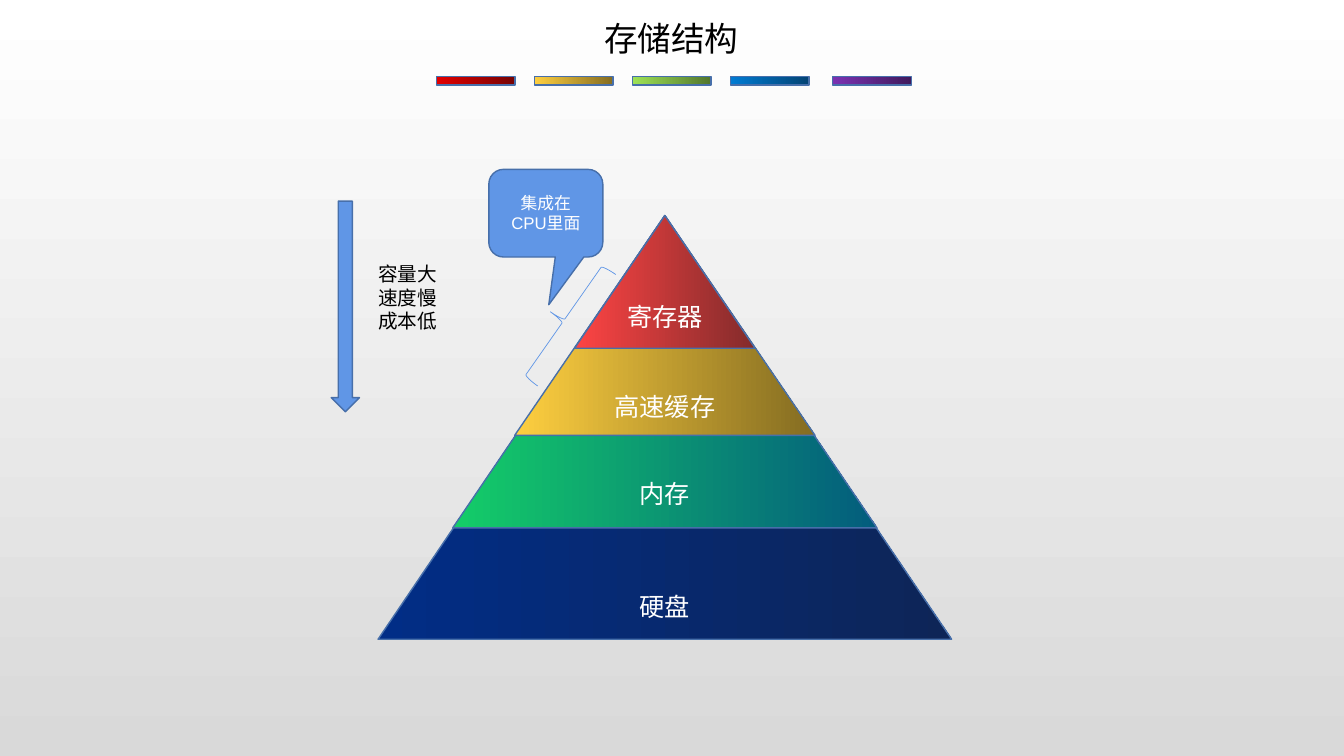
from pptx import Presentation
from pptx.dml.color import RGBColor
from pptx.enum.lang import MSO_LANGUAGE_ID
from pptx.enum.shapes import MSO_SHAPE
from pptx.enum.text import MSO_ANCHOR, MSO_AUTO_SIZE, PP_ALIGN
from pptx.util import Pt

CHINESE = MSO_LANGUAGE_ID.SIMPLIFIED_CHINESE
RECT, TRIANGLE = MSO_SHAPE.RECTANGLE, MSO_SHAPE.ISOSCELES_TRIANGLE
ARROW, BRACE = MSO_SHAPE.RIGHT_ARROW, MSO_SHAPE.LEFT_BRACE
CALLOUT = MSO_SHAPE.ROUNDED_RECTANGULAR_CALLOUT
TOP, MIDDLE = MSO_ANCHOR.TOP, MSO_ANCHOR.MIDDLE
LEFT, CENTER = PP_ALIGN.LEFT, PP_ALIGN.CENTER
NO_AUTOFIT = MSO_AUTO_SIZE.NONE

# A pair of colours is a gradient from left to right
COLORS = {
    "background": ("FFFFFF", "D9D9D9"),
    "red": ("E30000", "760303"),
    "gold": ("FECF40", "846C21"),
    "green": ("9EE256", "52762D"),
    "blue": ("007BD3", "034373"),
    "purple": ("7B32B2", "401A5D"),
    "disk": ("012D86", "0E2557"),
    "memory": ("14CD68", "035C7D"),
    "register": ("FE4444", "832B2B"),
    "accent": "6096E6",
    "outline": "476FAA",
    "text": "000000",
    "light": "FFFFFF",
}


class StorageSlide:
    font = "Arial"

    def __init__(self, prs):
        self.slide = prs.slides.add_slide(prs.slide_layouts[5])

    def paint(self, fill, color, angle=0):
        value = COLORS[color]
        if isinstance(value, str):
            fill.solid()
            fill.fore_color.rgb = RGBColor.from_string(value)
            return
        fill.gradient()
        fill.gradient_angle = angle
        for stop, hex_color in zip(fill.gradient_stops, value):
            stop.color.rgb = RGBColor.from_string(hex_color)

    def background(self, color):
        self.paint(self.slide.background.fill, color, 270)

    def set_text(self, shape, text, size, color, align=CENTER, anchor=TOP, wrap=True):
        frame = shape.text_frame
        frame.text = text
        frame.auto_size = NO_AUTOFIT
        frame.word_wrap = wrap
        frame.vertical_anchor = anchor
        for paragraph in frame.paragraphs:
            paragraph.alignment = align
            for run in paragraph.runs:
                run.font.name = self.font
                run.font.size = Pt(size)
                run.font.language_id = CHINESE
                run.font.color.rgb = RGBColor.from_string(COLORS[color])

    def title(self, text, left, top, width, height):
        title = self.slide.shapes.title
        title.left, title.top = Pt(left), Pt(top)
        title.width, title.height = Pt(width), Pt(height)
        self.set_text(title, text, 24, "text", wrap=False)

    def label(self, text, left, top, width, height, size, color, align=CENTER):
        box = self.slide.shapes.add_textbox(Pt(left), Pt(top), Pt(width), Pt(height))
        self.set_text(box, text, size, color, align)

    def shape(self, kind, left, top, width, height, fill=None,
              line="outline", weight=1, rotation=0):
        shape = self.slide.shapes.add_shape(kind, Pt(left), Pt(top), Pt(width), Pt(height))
        shape.shadow.inherit = False
        shape.rotation = rotation
        if fill:
            self.paint(shape.fill, fill)
        else:
            shape.fill.background()
        shape.line.color.rgb = RGBColor.from_string(COLORS[line])
        shape.line.width = Pt(weight)
        return shape


def main():
    prs = Presentation()
    prs.slide_width, prs.slide_height = Pt(960), Pt(540)
    page = StorageSlide(prs)
    page.background("background")

    # Title and the colour bars under it
    page.title("存储结构", 424, 9.4, 111, 36)
    bars = [("red", 311.8), ("gold", 381.8), ("green", 451.8),
            ("blue", 521.8), ("purple", 594.7)]
    for color, left in bars:
        page.shape(RECT, left, 54.7, 56.2, 6, color)

    # Pyramid: triangles sharing one apex, largest first
    apex_x, apex_y, label_width = 474.9, 154, 90
    levels = [("硬盘", "disk", 409.7, 302.6, 419),
              ("内存", "memory", 303, 223, 338.4),
              ("高速缓存", "gold", 214.6, 157, 275.8),
              ("寄存器", "register", 129, 94.8, 211.7)]
    for name, color, width, height, label_top in levels:
        page.shape(TRIANGLE, apex_x - width / 2, apex_y, width, height, color)
        page.label(name, apex_x - label_width / 2, label_top, label_width, 29, 18, "light")

    # Downward trend
    page.shape(ARROW, 171.4, 208.8, 150.5, 20.2, "accent", rotation=90)
    page.label("容量大速度慢成本低", 263.2, 183.6, 58, 58.3, 14, "text", LEFT)

    # Brace over the two top levels, with its callout
    page.shape(BRACE, 391, 180.7, 23, 97.2, line="accent", weight=0.5, rotation=35)
    callout = page.shape(CALLOUT, 349.2, 121, 81.4, 62.6, "accent")
    for index, value in enumerate((0.026, 1.045, 0.167)):
        callout.adjustments[index] = value
    page.set_text(callout, "集成在CPU里面", 12, "light", anchor=MIDDLE)

    prs.save("out.pptx")


if __name__ == "__main__":
    main()
